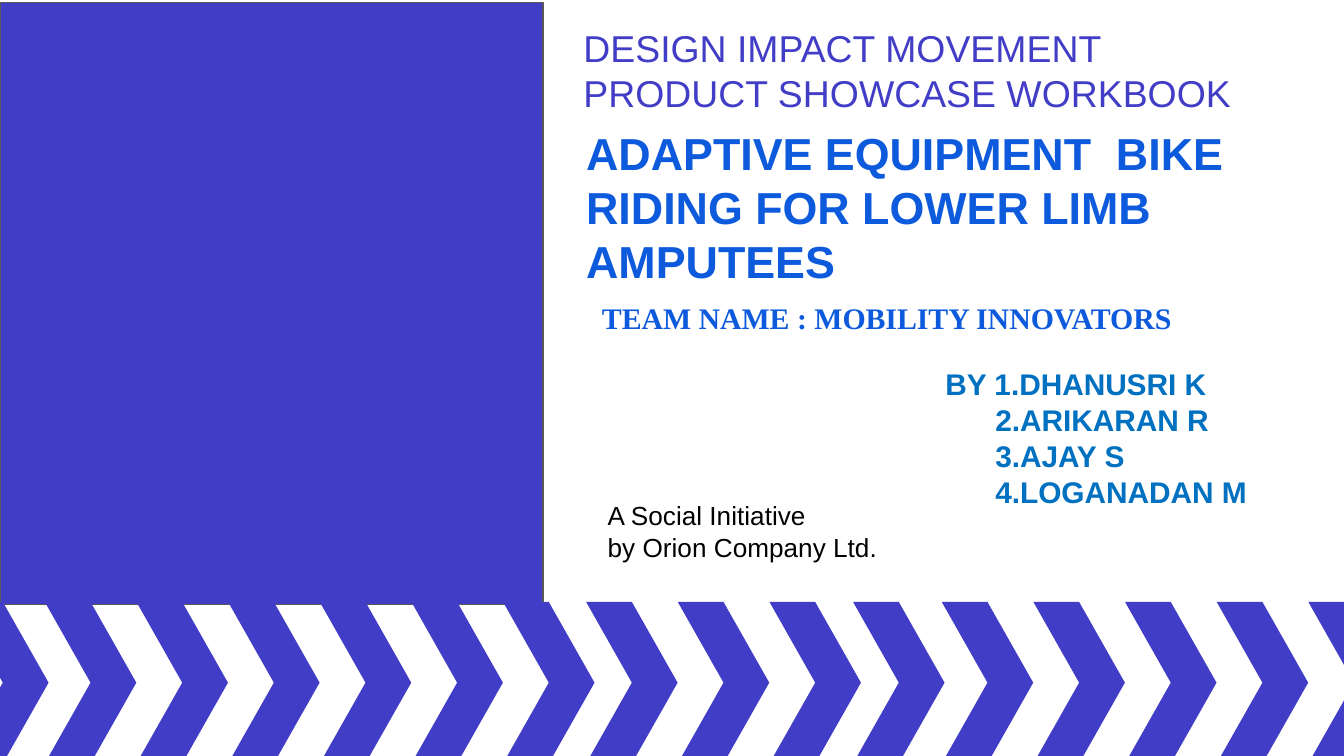
import pptx
import pptx.dml.color
import pptx.enum.shapes
import pptx.oxml.ns
import pptx.util

Pt = pptx.util.Pt

THEME = {
    "indigo": "423DC6", "blue": "0D5BDC", "sky": "0070C0", "black": "000000",
    "outline": "585858",
    "sans": "Arial", "serif": "Times New Roman",
    "title": 24, "heading": 20, "names": 16, "team": 16, "credit": 14,
}
SLIDE_SIZE = (720, 405)
PANEL = (0, 1.5, 291, 322.5)

# Runs of evenly spaced chevrons: left edge of the first, count
CHEVRON_RUNS = [(-23, 1), (24, 6), (314, 3), (457, 1), (504.5, 5)]
CHEVRON_TOP, CHEVRON_WIDTH, CHEVRON_HEIGHT, CHEVRON_PITCH = 322.5, 49, 86.5, 49.1

MEMBER_INDENT = 26.7

# Each paragraph is (left indent, text); a newline is a line break
TEXTS = [
    {"box": (305.5, 6.5, 386.5, 90), "inset": 7.2, "size": "heading",
     "font": "sans", "color": "indigo", "bold": False,
     "paragraphs": [(0, "DESIGN IMPACT MOVEMENT\nPRODUCT SHOWCASE WORKBOOK")]},
    {"box": (318.5, 260.5, 327, 48), "inset": 7.2, "size": "credit",
     "font": "sans", "color": "black", "bold": False,
     "paragraphs": [(0, "A Social Initiative"), (0, "by Orion Company Ltd.")]},
    {"box": (314, 67.5, 377.5, 99.5), "inset": 0, "size": "title",
     "font": "sans", "color": "blue", "bold": True,
     "paragraphs": [(0, "ADAPTIVE EQUIPMENT  BIKE RIDING FOR LOWER LIMB AMPUTEES")]},
    {"box": (506.5, 196, 178.5, 83.5), "inset": 0, "size": "names",
     "font": "sans", "color": "sky", "bold": True,
     "paragraphs": [(0, "BY 1.DHANUSRI K"), (MEMBER_INDENT, "2.ARIKARAN R"),
                    (MEMBER_INDENT, "3.AJAY S"), (MEMBER_INDENT, "4.LOGANADAN M")]},
    {"box": (322.5, 160.5, 323.5, 19.5), "inset": 0, "size": "team",
     "font": "serif", "color": "blue", "bold": True,
     "paragraphs": [(0, "TEAM NAME : MOBILITY INNOVATORS")]},
]


def theme_color(name):
    return pptx.dml.color.RGBColor.from_string(THEME[name])


def add_filled_shape(slide, kind, box):
    shape = slide.shapes.add_shape(kind, *map(Pt, box))
    shape.shadow.inherit = False
    shape.fill.solid()
    shape.fill.fore_color.rgb = theme_color("indigo")
    shape.line.fill.background()
    return shape


def add_run(paragraph, text, style):
    run = paragraph.add_run()
    run.text = text
    run.font.name = THEME[style["font"]]
    run.font.size = Pt(THEME[style["size"]])
    run.font.bold = style["bold"]
    run.font.color.rgb = theme_color(style["color"])


def add_text(slide, style):
    frame = slide.shapes.add_textbox(*map(Pt, style["box"])).text_frame
    frame.word_wrap = True
    frame.margin_left = frame.margin_right = Pt(style["inset"])
    frame.margin_top = frame.margin_bottom = Pt(style["inset"])
    for index, (indent, text) in enumerate(style["paragraphs"]):
        paragraph = frame.add_paragraph() if index else frame.paragraphs[0]
        if indent:
            properties = paragraph._p.get_or_add_pPr()
            properties.set("marL", str(int(Pt(indent))))
            properties.set("indent", "0")
        for line_index, line in enumerate(text.split("\n")):
            if line_index:
                paragraph.add_line_break()
            add_run(paragraph, line, style)


def main():
    presentation = pptx.Presentation()
    presentation.slide_width, presentation.slide_height = map(Pt, SLIDE_SIZE)
    slide = presentation.slides.add_slide(presentation.slide_layouts[6])

    shape_types = pptx.enum.shapes.MSO_SHAPE
    panel = add_filled_shape(slide, shape_types.RECTANGLE, PANEL)
    panel.line.color.rgb = theme_color("outline")
    panel.line.width = Pt(0.75)

    for start, count in CHEVRON_RUNS:
        for index in range(count):
            left = start + index * CHEVRON_PITCH
            add_filled_shape(slide, shape_types.CHEVRON,
                             (left, CHEVRON_TOP, CHEVRON_WIDTH, CHEVRON_HEIGHT))

    for style in TEXTS:
        add_text(slide, style)
    presentation.save("out.pptx")


if __name__ == "__main__":
    main()
